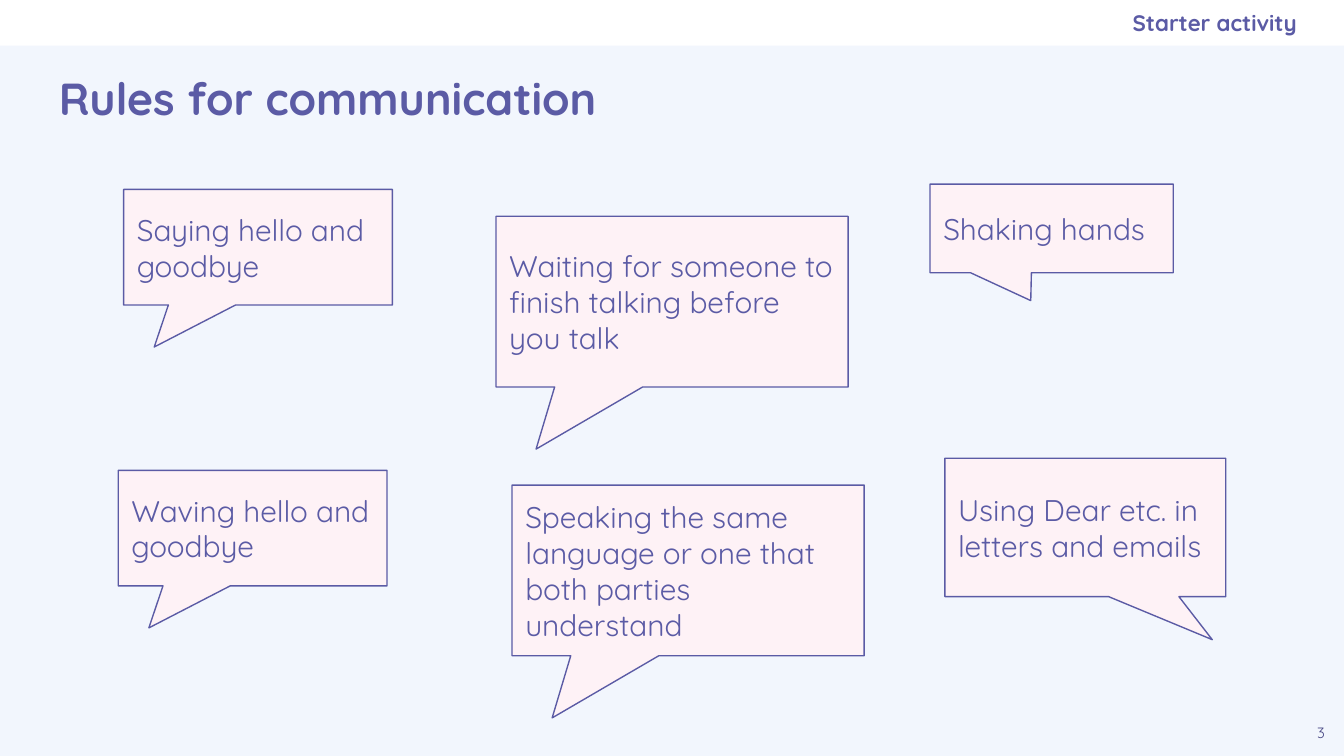
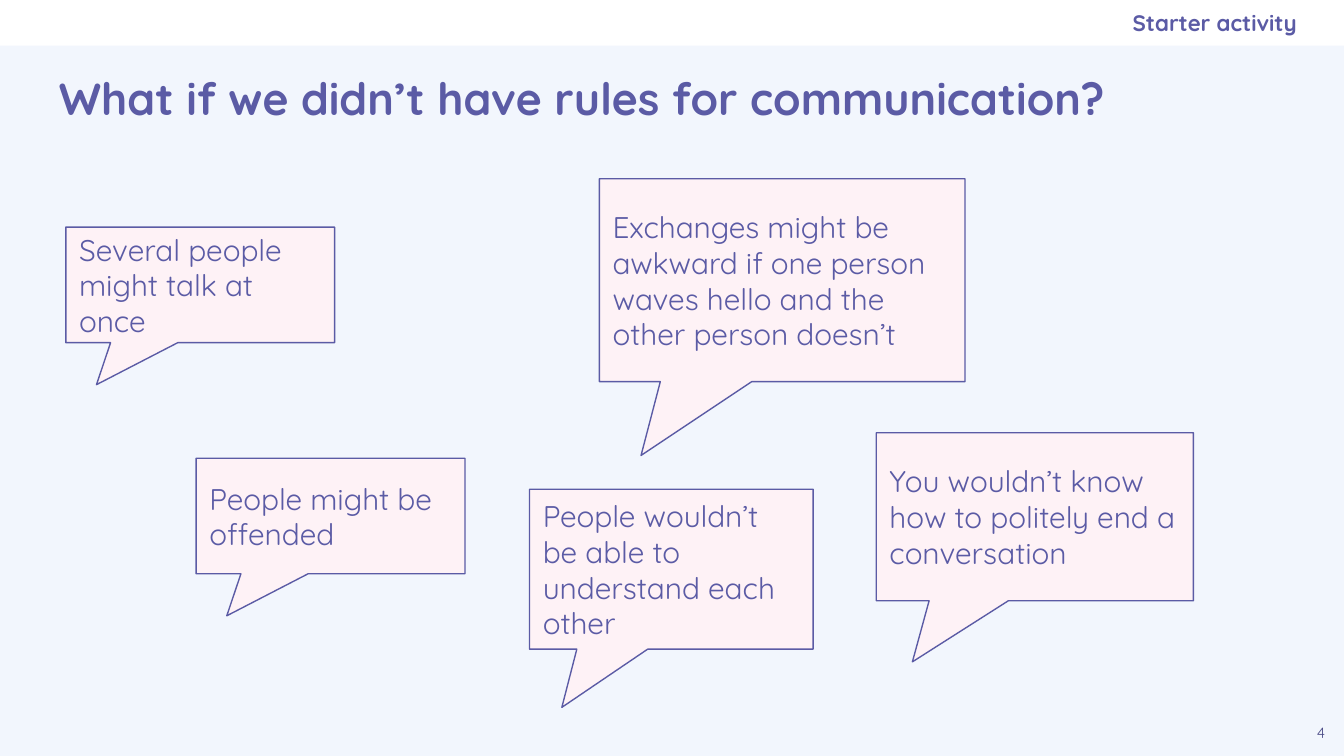
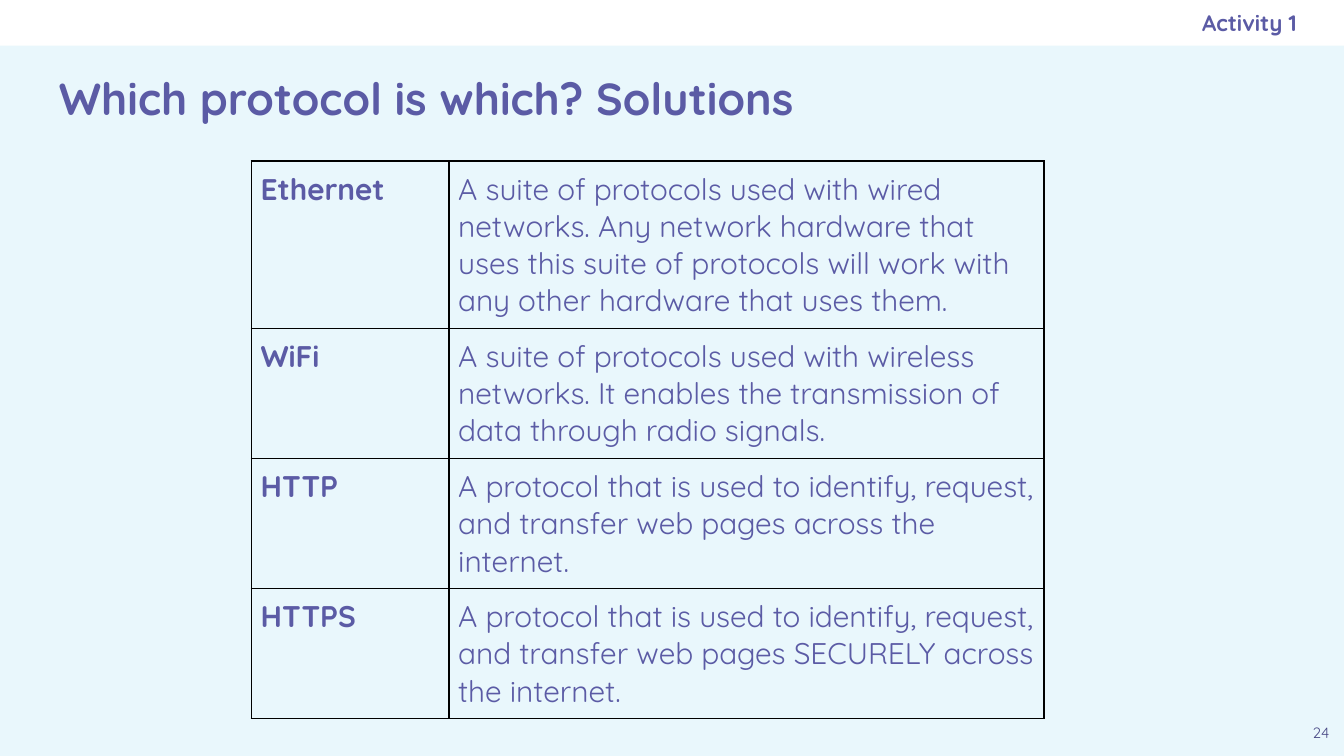
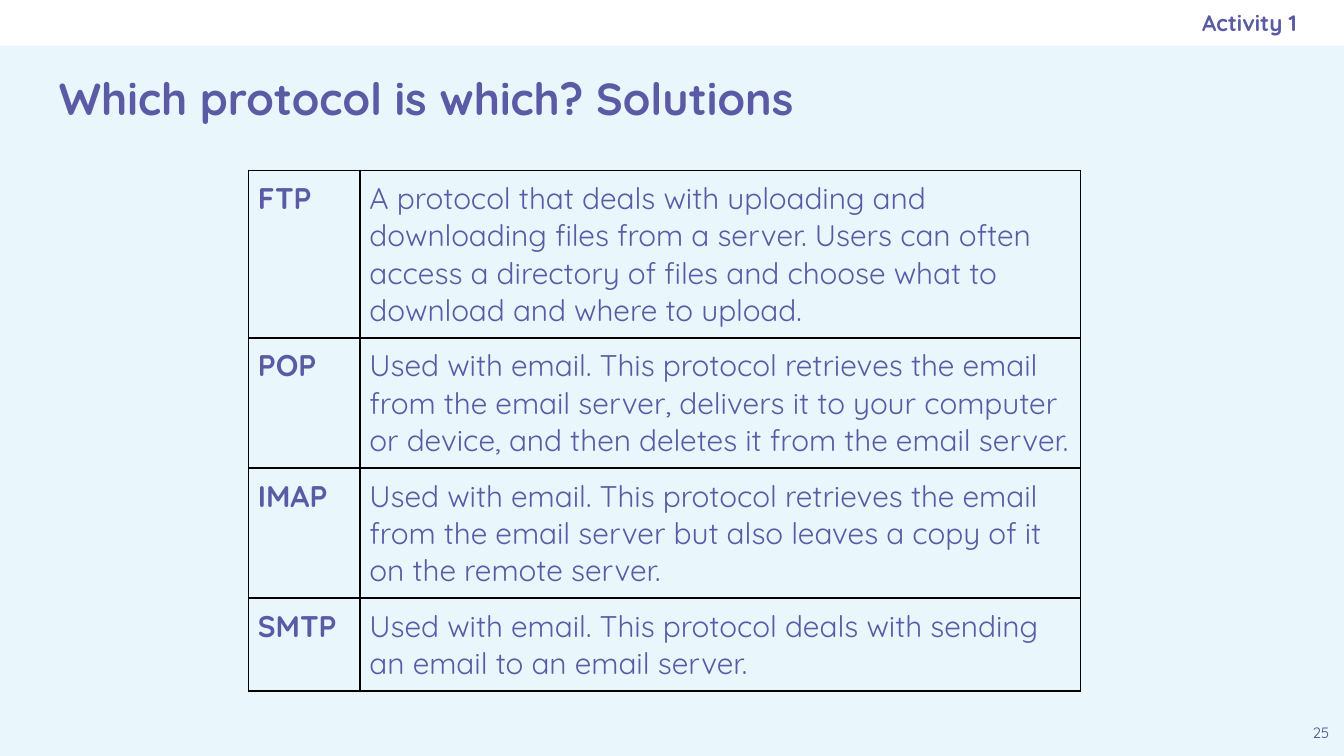
from lxml.etree import SubElement
from pptx import Presentation
from pptx.dml.color import RGBColor
from pptx.enum.shapes import MSO_SHAPE as Shape
from pptx.enum.text import MSO_ANCHOR as Anchor, PP_ALIGN as Align
from pptx.oxml.ns import qn
from pptx.util import Inches, Pt

FONT = "Quicksand"
PURPLE = "5B5BA5"
PAGE_NUMBER = "494985"
PALE_BLUE = "F2F6FD"
PALE_CYAN = "E9F7FC"
PINK = "FEF2F6"
WHITE = "FFFFFF"
BLACK = "000000"

BODY_SIZE = 16
CELL_MARGIN = Pt(5)
TABLE_LINE_HEIGHT = Pt(19.9)
LOWER_LEFT_TAIL = (-0.386, 0.864)

# Each bubble: text, (left, top, width, height), tail tip
RULES = [
    ("Shaking hands", (6.92, 1.37, 1.81, 0.66), (-0.086, 0.814)),
    ("Saying hello and goodbye", (0.92, 1.41, 2, 0.86), LOWER_LEFT_TAIL),
    ("Waiting for someone to finish talking before you talk",
     (3.69, 1.61, 2.62, 1.27), LOWER_LEFT_TAIL),
    ("Waving hello and goodbye", (0.88, 3.5, 2, 0.86), LOWER_LEFT_TAIL),
    ("Using Dear etc. in letters and emails",
     (7.03, 3.41, 2.09, 1.03), (0.452, 0.811)),
    ("Speaking the same language or one that both parties understand",
     (3.81, 3.61, 2.62, 1.27), LOWER_LEFT_TAIL),
]
CONSEQUENCES = [
    ("Several people might talk at once",
     (0.49, 1.69, 2, 0.86), LOWER_LEFT_TAIL),
    ("Exchanges might be awkward if one person waves hello and the other "
     "person doesn’t", (4.46, 1.33, 2.72, 1.51), LOWER_LEFT_TAIL),
    ("People might be offended", (1.46, 3.41, 2, 0.86), LOWER_LEFT_TAIL),
    ("You wouldn’t know how to politely end a conversation",
     (6.52, 3.22, 2.36, 1.25), LOWER_LEFT_TAIL),
    ("People wouldn’t be able to understand each other",
     (3.94, 3.64, 2.11, 1.19), LOWER_LEFT_TAIL),
]

# Each protocol: name, description, number of lines
NETWORK_PROTOCOLS = [
    ("Ethernet", "A suite of protocols used with wired networks. Any network "
     "hardware that uses this suite of protocols will work with any other "
     "hardware that uses them.", 4),
    ("WiFi", "A suite of protocols used with wireless networks. It enables "
     "the transmission of data through radio signals.", 3),
    ("HTTP", "A protocol that is used to identify, request, and transfer web "
     "pages across the internet.", 3),
    ("HTTPS", "A protocol that is used to identify, request, and transfer web "
     "pages SECURELY across the internet.", 3),
]
TRANSFER_PROTOCOLS = [
    ("FTP", "A protocol that deals with uploading and downloading files from "
     "a server. Users can often access a directory of files and choose what "
     "to download and where to upload.", 4),
    ("POP", "Used with email. This protocol retrieves the email from the "
     "email server, delivers it to your computer or device, and then deletes "
     "it from the email server.", 3),
    ("IMAP", "Used with email. This protocol retrieves the email from the "
     "email server but also leaves a copy of it on the remote server.", 3),
    ("SMTP", "Used with email. This protocol deals with sending an email to "
     "an email server.", 2),
]


def rgb(code):
    return RGBColor.from_string(code)


def write(frame, text, size, color=PURPLE, bold=False, align=Align.LEFT):
    paragraph = frame.paragraphs[0]
    paragraph.text = text
    paragraph.alignment = align
    font = paragraph.font
    font.name, font.size, font.bold = FONT, Pt(size), bold
    font.color.rgb = rgb(color)


def set_up_frame(frame, right_margin=0.1):
    frame.word_wrap = True
    frame.vertical_anchor = Anchor.MIDDLE
    frame.margin_left = frame.margin_top = frame.margin_bottom = Inches(0.1)
    frame.margin_right = Inches(right_margin)


def add_label(slide, text, box, size, right_margin=0.1, **style):
    frame = slide.shapes.add_textbox(*map(Inches, box)).text_frame
    set_up_frame(frame, right_margin)
    write(frame, text, size, **style)


def add_filled_shape(slide, kind, box, fill):
    shape = slide.shapes.add_shape(kind, *map(Inches, box))
    shape.shadow.inherit = False
    shape.fill.solid()
    shape.fill.fore_color.rgb = rgb(fill)
    return shape


def add_lesson_slide(deck, title, section, number, background):
    """Add a slide with the white band, section label, title and number."""
    slide = deck.slides.add_slide(deck.slide_layouts[6])
    slide.background.fill.solid()
    slide.background.fill.fore_color.rgb = rgb(background)
    band = add_filled_shape(slide, Shape.RECTANGLE, (0, 0, 10, 0.34), WHITE)
    band.line.fill.background()
    add_label(slide, title, (0.34, 0.35, 9.32, 0.76), 24, bold=True)
    add_label(slide, str(number), (9.66, 5.28, 0.34, 0.34), 8,
              color=PAGE_NUMBER, align=Align.CENTER)
    add_label(slide, section, (5.75, 0, 3.9, 0.34), 12, right_margin=0,
              bold=True, align=Align.RIGHT)
    return slide


def add_bubble(slide, text, box, tail):
    bubble = add_filled_shape(slide, Shape.ROUNDED_RECTANGULAR_CALLOUT, box,
                              PINK)
    bubble.line.color.rgb = rgb(PURPLE)
    bubble.line.width = Pt(0.75)
    for index, value in enumerate((*tail, 0)):
        bubble.adjustments[index] = value
    set_up_frame(bubble.text_frame)
    write(bubble.text_frame, text, BODY_SIZE)


def add_borders(cell):
    properties = cell._tc.get_or_add_tcPr()
    for position, side in enumerate(("a:lnL", "a:lnR", "a:lnT", "a:lnB")):
        line = SubElement(properties, qn(side), w=str(Pt(1)))
        fill = SubElement(line, qn("a:solidFill"))
        SubElement(fill, qn("a:srgbClr"), val=BLACK)
        properties.insert(position, line)


def add_protocol_table(slide, protocols, left, top, widths):
    heights = [lines * TABLE_LINE_HEIGHT + 2 * CELL_MARGIN
               for _, _, lines in protocols]
    table = slide.shapes.add_table(
        len(protocols), len(widths), Inches(left), Inches(top),
        Inches(sum(widths)), sum(heights)).table
    table.first_row = table.horz_banding = False
    for column, width in zip(table.columns, widths):
        column.width = Inches(width)
    for row, height, (name, description, _) in zip(table.rows, heights,
                                                   protocols):
        row.height = height
        for cell, text in zip(row.cells, (name, description)):
            cell.margin_left = cell.margin_right = CELL_MARGIN
            cell.margin_top = cell.margin_bottom = CELL_MARGIN
            cell.fill.background()
            add_borders(cell)
            write(cell.text_frame, text, BODY_SIZE, bold=text == name)


def main():
    deck = Presentation()
    deck.slide_width, deck.slide_height = Inches(10), Inches(10 * 9 / 16)

    for number, title, bubbles in (
            (3, "Rules for communication", RULES),
            (4, "What if we didn’t have rules for communication?",
             CONSEQUENCES)):
        slide = add_lesson_slide(deck, title, "Starter activity", number,
                                 PALE_BLUE)
        for bubble in bubbles:
            add_bubble(slide, *bubble)

    for number, protocols, left, top, widths in (
            (24, NETWORK_PROTOCOLS, 1.87, 1.2, (1.47, 4.43)),
            (25, TRANSFER_PROTOCOLS, 1.85, 1.27, (0.83, 5.36))):
        slide = add_lesson_slide(deck, "Which protocol is which? Solutions",
                                 "Activity 1", number, PALE_CYAN)
        add_protocol_table(slide, protocols, left, top, widths)

    deck.save("out.pptx")


if __name__ == "__main__":
    main()
